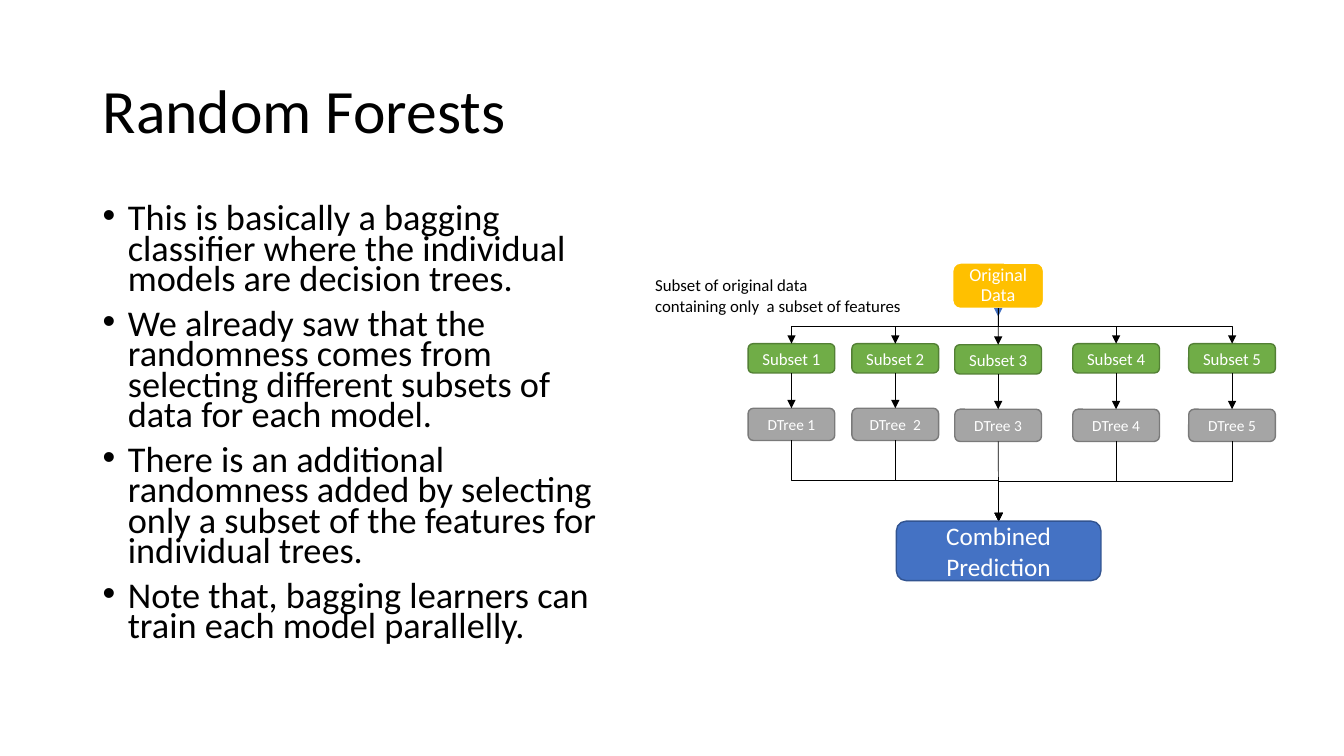
from typing import NamedTuple

from pptx import Presentation
from pptx import util as u
from pptx.dml.color import RGBColor
from pptx.enum import shapes, text
from pptx.oxml.ns import qn

FONT = "Calibri"
BLACK, WHITE, BLUE = "000000", "FFFFFF", "4472C4"
MID = text.MSO_ANCHOR.MIDDLE


class Box(NamedTuple):
    """A rounded box of the diagram, in inches."""
    label: str
    x: float
    y: float
    w: float
    h: float
    fill: str
    edge: str
    size: float

    @property
    def mid(self) -> float:
        return self.x + self.w / 2

    @property
    def base(self) -> float:
        return self.y + self.h


class Branch(NamedTuple):
    """One model: its left edge, the tops of its two boxes, its tree label."""
    x: float
    top: float
    low: float
    tree: str


BRANCHES = [
    Branch(7.42, 3.41, 4.05, "DTree 1"),
    Branch(8.45, 3.41, 4.05, "DTree  2"),
    Branch(9.47, 3.42, 4.06, "DTree 3"),
    Branch(10.64, 3.41, 4.06, "DTree 4"),
    Branch(11.79, 3.41, 4.06, "DTree 5"),
]
SOURCE = Box("Original Data", 9.45, 2.61, 0.9, 0.45, "FFC000", WHITE, 13)
RESULT = Box("Combined Prediction", 8.89, 5.17, 2.03, 0.59, BLUE, "325491", 18)
POINTS = [
    "This is basically a bagging classifier where the individual models "
    "are decision trees.",
    "We already saw that the randomness comes from selecting different "
    "subsets of data for each model.",
    "There is an additional randomness added by selecting only a subset of "
    "the features for individual trees.",
    "Note that, bagging learners can train each model parallelly.",
]
NOTE = ["Subset of original data", "containing only  a subset of features"]


def paint(code: str) -> RGBColor:
    """Turn a hex string into a colour."""
    return RGBColor.from_string(code)


def write(frame, lines, *, size, color=BLACK, align=text.PP_ALIGN.LEFT,
          anchor=text.MSO_ANCHOR.TOP, space=None, before=None, bullet=False,
          wrap=True, inset=None):
    """Fill a text frame with one paragraph for each line."""
    frame.word_wrap, frame.vertical_anchor = wrap, anchor
    if inset is not None:
        frame.margin_left = frame.margin_right = u.Inches(inset)
        frame.margin_top = frame.margin_bottom = u.Inches(inset)
    for i, line in enumerate(lines):
        para = frame.paragraphs[0] if i == 0 else frame.add_paragraph()
        para.alignment = align
        if space is not None:
            para.line_spacing = space
        if before is not None:
            para.space_before = u.Pt(before)
        if bullet:
            props = para._p.get_or_add_pPr()
            props.set("marL", str(u.Inches(0.25)))
            props.set("indent", str(-u.Inches(0.25)))
            face = props.makeelement(qn("a:buFont"), {"typeface": "Arial"})
            mark = props.makeelement(qn("a:buChar"), {"char": "•"})
            props.extend([face, mark])
        run = para.add_run()
        run.text = line
        run.font.name, run.font.size = FONT, u.Pt(size)
        run.font.color.rgb = paint(color)


def label(slide, x: float, y: float, w: float, h: float, lines, **style):
    """Add a text box."""
    spot = map(u.Inches, (x, y, w, h))
    write(slide.shapes.add_textbox(*spot).text_frame, lines, **style)


def draw(slide, box: Box, **style):
    """Draw a rounded box with its centred label."""
    spot = map(u.Inches, (box.x, box.y, box.w, box.h))
    shape = slide.shapes.add_shape(shapes.MSO_SHAPE.ROUNDED_RECTANGLE, *spot)
    shape.shadow.inherit = False
    shape.fill.solid()
    shape.fill.fore_color.rgb = paint(box.fill)
    shape.line.color.rgb = paint(box.edge)
    shape.line.width = u.Pt(1)
    write(shape.text_frame, [box.label], size=box.size, color=WHITE,
          align=text.PP_ALIGN.CENTER, anchor=MID, **style)


def link(slide, x1: float, y1: float, x2: float, y2: float, color=BLACK):
    """Draw a downward arrow, bent halfway when its ends are not aligned."""
    wide, tall = abs(x2 - x1), y2 - y1
    bent = wide > 0.05
    kind, ends = shapes.MSO_CONNECTOR.STRAIGHT, (x1, y1, x2, y2)
    if bent:
        # The elbow preset leaves sideways, so it is turned about its centre.
        kind = shapes.MSO_CONNECTOR.ELBOW
        cx, cy = (x1 + x2) / 2, (y1 + y2) / 2
        ends = (cx - tall / 2, cy - wide / 2, cx + tall / 2, cy + wide / 2)
    wire = slide.shapes.add_connector(kind, *map(u.Inches, ends))
    wire.line.color.rgb = paint(color)
    wire.line.width = u.Pt(0.5)
    props = wire._element.spPr
    if bent:
        frame = props.find(qn("a:xfrm"))
        right = x2 > x1
        frame.set("rot", str((270 if right else 90) * 60000))
        if right:
            frame.set("flipH", "1")
    edge = props.find(qn("a:ln"))
    edge.append(edge.makeelement(qn("a:tailEnd"), {"type": "triangle"}))
    props.append(props.makeelement(qn("a:effectLst"), {}))


def chart(slide):
    """Draw the flow from the data through the trees to the prediction."""
    draw(slide, SOURCE, space=0.9, inset=0.01)
    link(slide, SOURCE.mid, SOURCE.base, SOURCE.mid, 3.14, BLUE)
    for i, arm in enumerate(BRANCHES, 1):
        part = Box(f"Subset {i}", arm.x, arm.top, 0.86, 0.29,
                   "70AD47", "538035", 12)
        tree = Box(arm.tree, arm.x, arm.low, 0.86, 0.32,
                   "A5A5A5", "7A7A7A", 11)
        draw(slide, part)
        draw(slide, tree)
        link(slide, SOURCE.mid, SOURCE.base, part.mid, part.y)
        link(slide, part.mid, part.base, tree.mid, tree.y)
        link(slide, tree.mid, tree.base, RESULT.mid, RESULT.y)
    draw(slide, RESULT)


def main():
    """Build the slide and save it."""
    deck = Presentation()
    deck.slide_width, deck.slide_height = u.Inches(13.33), u.Inches(7.5)
    slide = deck.slides.add_slide(deck.slide_layouts[6])
    label(slide, 0.92, 0.4, 11.5, 1.45, ["Random Forests"], size=44,
          anchor=MID, space=0.9)
    label(slide, 0.92, 2, 5.36, 4.76, POINTS, size=25.9, space=0.7,
          before=10, bullet=True)
    chart(slide)
    label(slide, 6.4, 2.68, 2.7, 0.5, NOTE, size=12, wrap=False)
    deck.save("out.pptx")


main()
